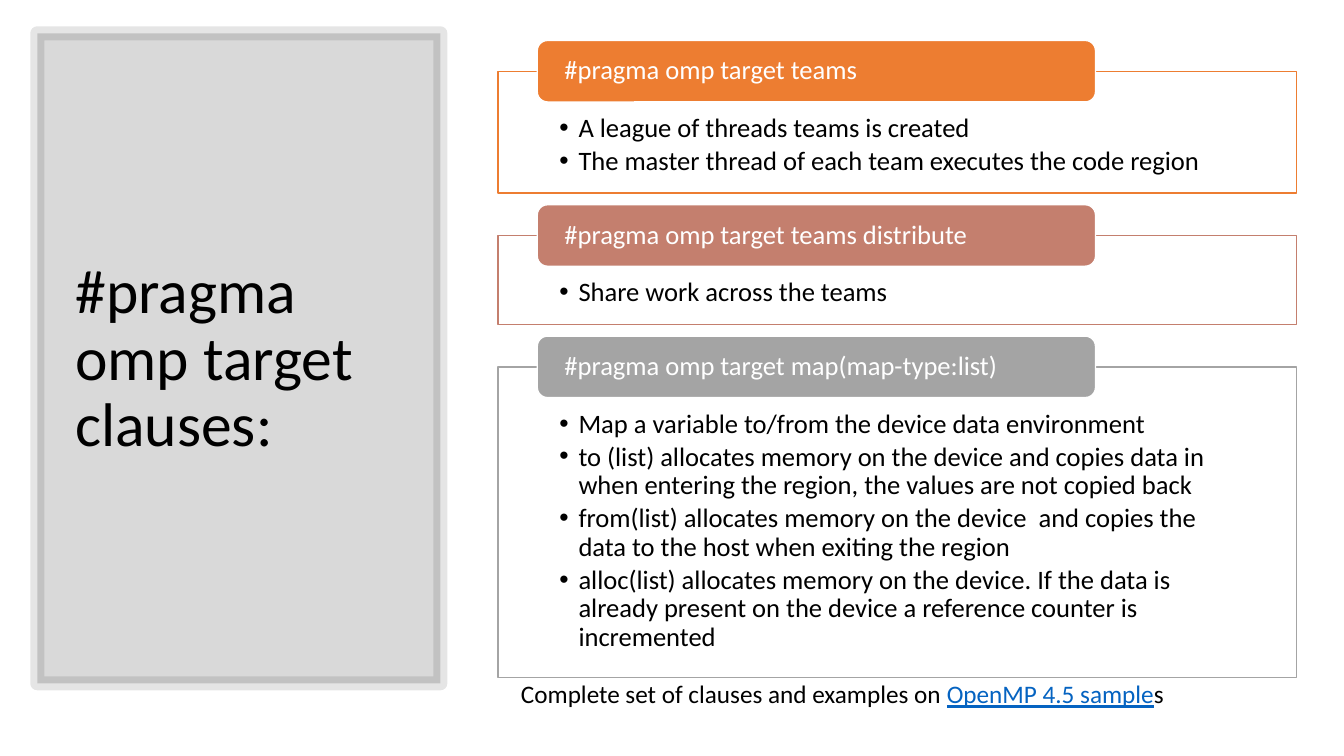
import pptx
import pptx.util
import pptx.dml.color
import pptx.enum.shapes
import pptx.enum.text
import pptx.oxml.ns
from lxml import etree

Cm, Pt = pptx.util.Cm, pptx.util.Pt
SHAPE = pptx.enum.shapes.MSO_SHAPE
ANCHOR = pptx.enum.text.MSO_ANCHOR
qn = pptx.oxml.ns.qn


def paint(fmt, color, opacity=100):
    """Give a fill or font a solid colour."""
    fill = fmt.fill
    fill.solid()
    fill.fore_color.rgb = pptx.dml.color.RGBColor.from_string(color)
    if opacity < 100:
        clr = next(fmt._element.iter(qn("a:srgbClr"))) if hasattr(fmt, "_element") else fill._xPr.find(".//" + qn("a:srgbClr"))
        etree.SubElement(clr, qn("a:alpha"), val=str(opacity * 1000))


def write(s, paragraphs, size, color, insets, anchor=ANCHOR.TOP, spacing=0.9):
    """Write paragraphs, each a list of (text, format) runs, into a shape."""
    tf = s.text_frame
    left, top, right, bottom = (Cm(v) for v in insets)
    frame = {"word_wrap": True, "vertical_anchor": anchor, "margin_left": left,
             "margin_top": top, "margin_right": right, "margin_bottom": bottom}
    for name, value in frame.items():
        setattr(tf, name, value)
    for i, runs in enumerate(paragraphs):
        p = tf.add_paragraph() if i else tf.paragraphs[0]
        p.alignment = pptx.enum.text.PP_ALIGN.LEFT
        p.line_spacing = spacing
        for text, fmt in runs:
            r = p.add_run()
            r.text = text
            font = {"name": "Calibri", "size": Pt(size), "underline": fmt.get("underline")}
            for name, value in font.items():
                setattr(r.font, name, value)
            paint(r.font, fmt.get("color", color))
    return tf


prs = pptx.Presentation()
prs.slide_width, prs.slide_height = Cm(33.87), Cm(19.05)
slide = prs.slides.add_slide(prs.slide_layouts[6])
shapes = slide.shapes
TEXT_INSETS = (0.25, 0.13, 0.25, 0.13)

# Title panel
panel = shapes.add_shape(SHAPE.RECTANGLE, Cm(0.94), Cm(0.84), Cm(10.16), Cm(16.38))
panel.shadow.inherit = False
paint(panel, "000000", 15)
panel.line.width = Pt(10)
paint(panel.line, "000000", 10)

title = shapes.add_textbox(Cm(1.65), Cm(1.78), Cm(8.79), Cm(14.6))
write(title, [[("#pragma omp target clauses:", {})]], 44, "000000",
      TEXT_INSETS, ANCHOR.MIDDLE)

# Clauses: heading, colour, box height, bullets
clauses = [
    ("#pragma omp target teams", "ED7D31", 3.07,
     ["A league of threads teams is created",
      "The master thread of each team executes the code region"]),
    ("#pragma omp target teams distribute", "C47F6E", 2.24,
     ["Share work across the teams"]),
    ("#pragma omp target map(map-type:list)", "A4A4A4", 7.82,
     ["Map a variable to/from the device data environment",
      "to (list) allocates memory on the device and copies data in when "
      "entering the region, the values are not copied back",
      "from(list) allocates memory on the device  and copies the data to "
      "the host when exiting the region",
      "alloc(list) allocates memory on the device. If the data is already "
      "present on the device a reference counter is incremented"]),
]
top, gap = 1.8, 1.07
for heading, color, height, bullets in clauses:
    # Outlined box with bullets
    box = shapes.add_shape(SHAPE.RECTANGLE, Cm(12.55), Cm(top), Cm(20.12), Cm(height))
    box.shadow.inherit = False
    paint(box, "FFFFFF", 90)
    box.line.width = Pt(1)
    paint(box.line, color)
    tf = write(box, [[(b, {})] for b in bullets], 19, "000000", (1.55, 1.09, 1.55, 0.38))
    for i, p in enumerate(tf.paragraphs):
        p.space_before = Pt(2.9 if i else 0)
        pPr = p._p.get_or_add_pPr()
        pPr.set("marL", str(Cm(0.48)))
        pPr.set("indent", str(-Cm(0.48)))
        etree.SubElement(pPr, qn("a:buFont"), typeface="Arial")
        etree.SubElement(pPr, qn("a:buChar"), char="•")

    # Heading tab over the top edge
    tab = shapes.add_shape(SHAPE.ROUNDED_RECTANGLE, Cm(13.54), Cm(top - 0.78),
                           Cm(14.07), Cm(1.55))
    tab.shadow.inherit = False
    paint(tab, color)
    tab.line.width = Pt(1)
    paint(tab.line, "FFFFFF")
    write(tab, [[(heading, {})]], 19, "FFFFFF", (0.61, 0, 0.61, 0), ANCHOR.MIDDLE)
    top += height + gap

# Closing note
note = shapes.add_textbox(Cm(12.88), Cm(16.97), Cm(17.12), Cm(1.02))
write(note, [[("Complete set of clauses and examples on ", {}),
              ("OpenMP 4.5 sample", {"color": "0563C1", "underline": True}),
              ("s", {})]], 18, "000000", TEXT_INSETS, spacing=1.0)

prs.save("out.pptx")
